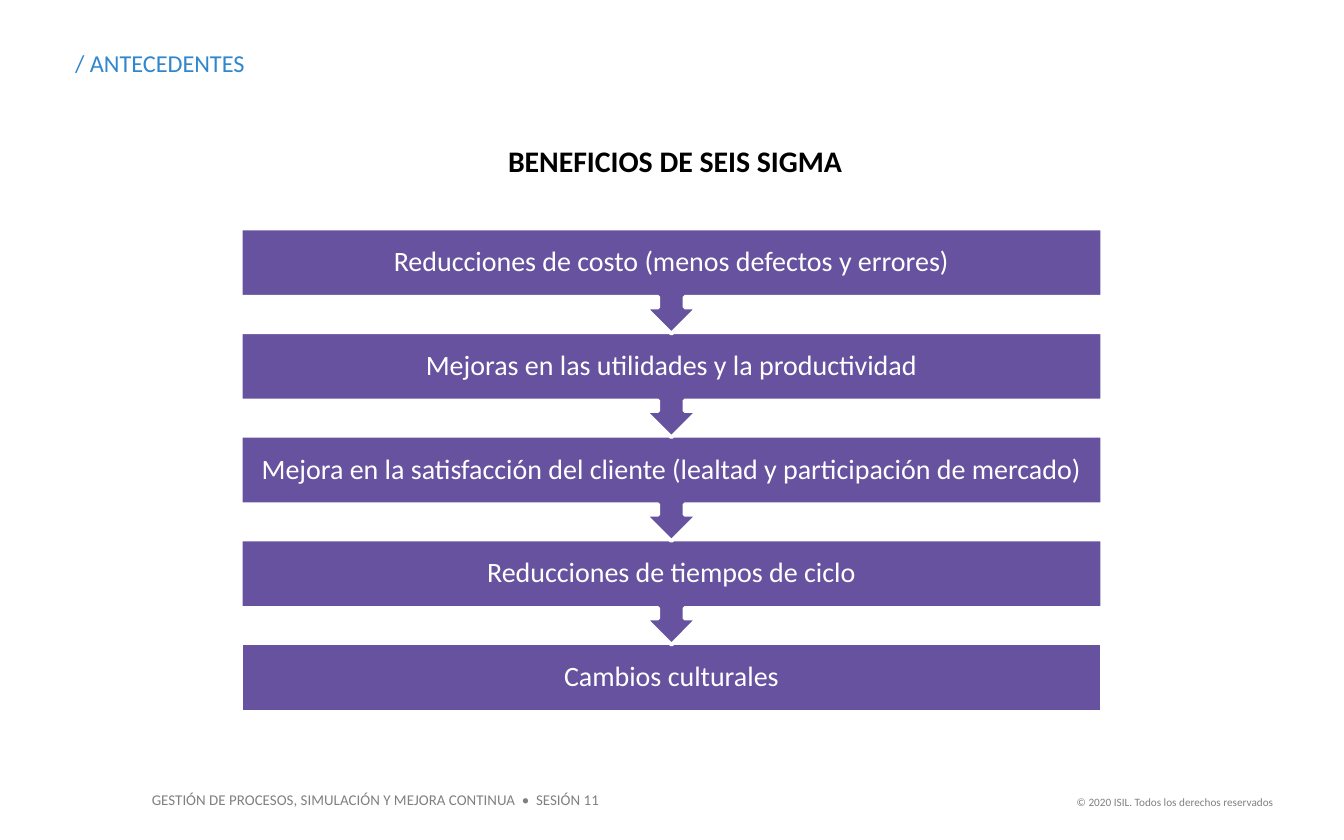
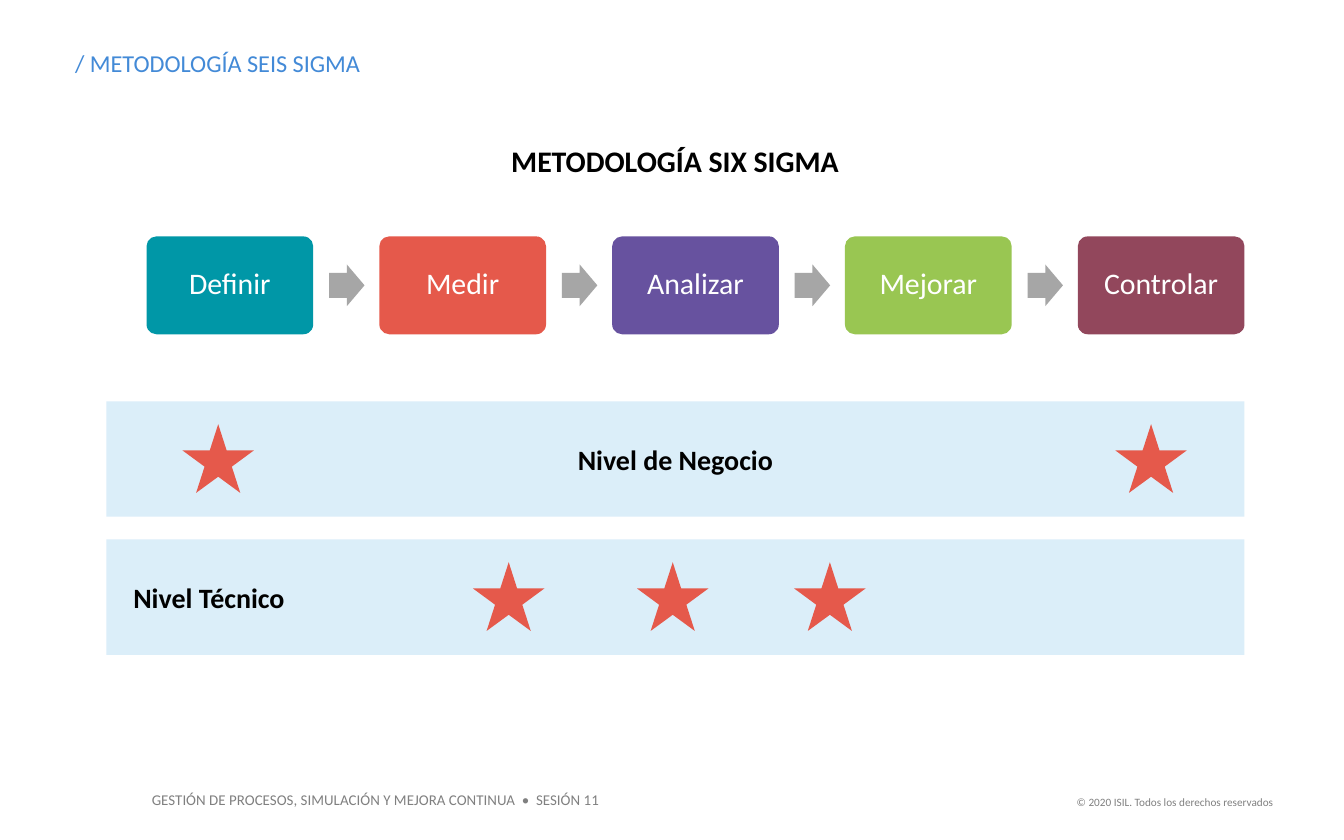
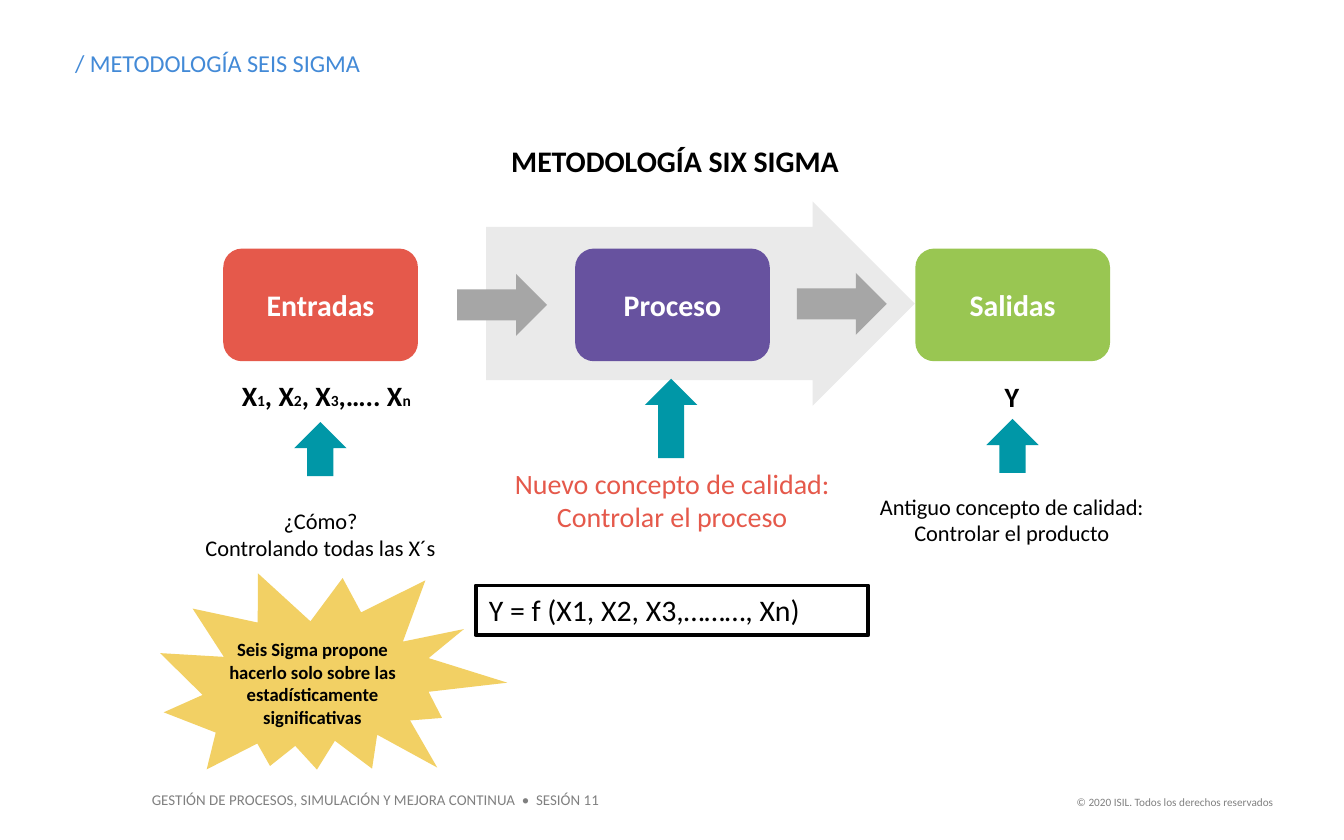
from pptx import Presentation
from pptx.dml.color import RGBColor
from pptx.enum.shapes import MSO_SHAPE
from pptx.enum.text import MSO_ANCHOR, MSO_AUTO_SIZE, PP_ALIGN
from pptx.util import Cm, Pt

# Shared look
FONT = "Calibri"
WHITE = RGBColor(0xFF, 0xFF, 0xFF)
BLACK = RGBColor(0x00, 0x00, 0x00)
GRAY = RGBColor(0x80, 0x80, 0x80)
SILVER = RGBColor(0xA6, 0xA6, 0xA6)
PALE = RGBColor(0xEA, 0xEA, 0xEA)
SKY = RGBColor(0xDB, 0xEE, 0xF9)
BLUE = RGBColor(0x30, 0x87, 0xCE)
AZURE = RGBColor(0x43, 0x8A, 0xD7)
TEAL = RGBColor(0x00, 0x97, 0xA7)
CORAL = RGBColor(0xE5, 0x59, 0x4B)
PURPLE = RGBColor(0x67, 0x52, 0x9F)
GREEN = RGBColor(0x99, 0xC6, 0x52)
WINE = RGBColor(0x92, 0x47, 0x5C)
GOLD = RGBColor(0xF2, 0xD0, 0x64)
LEFT, MID, RIGHT = PP_ALIGN.LEFT, PP_ALIGN.CENTER, PP_ALIGN.RIGHT

# Content; places are left, top, width, height in cm
COURSE = "GESTIÓN DE PROCESOS, SIMULACIÓN Y MEJORA CONTINUA  •  SESIÓN 11"
RIGHTS = "© 2020 ISIL. Todos los derechos reservados"
METHOD = ("/ METODOLOGÍA SEIS SIGMA", AZURE, "METODOLOGÍA SIX SIGMA")

BENEFITS = [
    "Reducciones de costo (menos defectos y errores)",
    "Mejoras en las utilidades y la productividad",
    "Mejora en la satisfacción del cliente (lealtad y participación de mercado)",
    "Reducciones de tiempos de ciclo",
    "Cambios culturales",
]

PHASES = [("Definir", TEAL), ("Medir", CORAL), ("Analizar", PURPLE),
          ("Mejorar", GREEN), ("Controlar", WINE)]

# Level name, alignment, left margin, left edges of its stars
LEVELS = [("Nivel de Negocio", MID, 0.25, [3.45, 21.08]),
          ("Nivel Técnico", LEFT, 0.51, [8.94, 12.04, 15.01])]

STAGES = [("Entradas", CORAL, 4.22), ("Proceso", PURPLE, 10.87),
          ("Salidas", GREEN, 17.3)]
FLOWS = [(8.64, 5.18), (15.06, 5.16)]
POINTERS = [(5.56, 7.98, 1.02), (12.19, 7.16, 1.5), (18.64, 7.92, 1.02)]
INPUTS = [("X", 15), ("1", 8.3), (", X", 15), ("2", 8.3), (", X", 15),
          ("3", 8.3), (",….. X", 15), ("n", 8.3)]
NOTES = [
    ((9.35, 8.69, 6.71, 1.55), 15, CORAL, False,
     ["Nuevo concepto de calidad:", "Controlar el proceso"]),
    ((18.54, 7.06, 1.17, 0.89), 15, BLACK, True, ["Y"]),
    ((3.43, 9.47, 5.26, 1.27), 12, BLACK, False,
     ["¿Cómo?", "Controlando todas las X´s"]),
    ((16.23, 9.19, 5.79, 1.27), 12, BLACK, False,
     ["Antiguo concepto de calidad:", "Controlar el producto"]),
    ((3.81, 11.94, 4.19, 1.96), 10, BLACK, True,
     ["Seis Sigma propone hacerlo solo sobre las estadísticamente "
      "significativas"]),
]
FORMULA = "Y = f (X1, X2, X3,………, Xn)"


# Helpers
def write(shape, lines, size, color, bold=False, align=MID,
          anchor=MSO_ANCHOR.TOP, pad=None, left=None, space=None):
    """Fill a shape; a line is a string or a list of (text, size) runs."""
    frame = shape.text_frame
    frame.word_wrap = True
    frame.auto_size = MSO_AUTO_SIZE.NONE
    frame.vertical_anchor = anchor
    if pad is not None:
        frame.margin_left = frame.margin_right = Cm(pad)
        frame.margin_top = frame.margin_bottom = Cm(pad)
    if left is not None:
        frame.margin_left = Cm(left)
    for i, line in enumerate(lines):
        para = frame.add_paragraph() if i else frame.paragraphs[0]
        para.alignment = align
        if space:
            para.line_spacing = space
        for text, points in [(line, size)] if isinstance(line, str) else line:
            run = para.add_run()
            run.text = text
            font = run.font
            font.name, font.size, font.bold = FONT, Pt(points), bold
            font.color.rgb = color


def label(slide, place, lines, size, color, **style):
    box = slide.shapes.add_textbox(*map(Cm, place))
    write(box, lines, size, color, **style)


def draw(slide, kind, place, fill, line=None, adjust=()):
    shape = slide.shapes.add_shape(kind, *map(Cm, place))
    shape.shadow.inherit = False
    shape.fill.solid()
    shape.fill.fore_color.rgb = fill
    if line is None:
        shape.line.fill.background()
    else:
        shape.line.color.rgb = line
        shape.line.width = Pt(2)
    for i, value in enumerate(adjust):
        shape.adjustments[i] = value
    return shape


def start(deck, topic, color, heading):
    """Add a slide with its title, heading and footers."""
    slide = deck.slides.add_slide(deck.slide_layouts[5])
    title = slide.shapes.title
    title.left, title.top, title.width, title.height = map(
        Cm, (1.42, 0.91, 6.2, 0.56))
    write(title, [topic], 13, color, align=LEFT, pad=0)
    label(slide, (1.42, 2.69, 22.68, 0.69), [heading], 16, BLACK,
          bold=True, pad=0)
    label(slide, (2.62, 14.83, 8.97, 0.61), [COURSE], 8, GRAY, align=LEFT)
    label(slide, (19.5, 14.91, 4.81, 0.51), [RIGHTS], 6, GRAY, align=RIGHT)
    return slide


# Slides
def benefits(deck):
    slide = start(deck, "/ ANTECEDENTES", BLUE, "BENEFICIOS DE SEIS SIGMA")
    last = len(BENEFITS) - 1
    # Bottom box first, so each arrow lies over the box below
    for i in range(last, -1, -1):
        kind, high = MSO_SHAPE.DOWN_ARROW_CALLOUT, 1.99
        if i == last:
            kind, high = MSO_SHAPE.RECTANGLE, 1.3
        box = draw(slide, kind, (4.55, 4.32 + 1.96 * i, 16.28, high),
                   PURPLE, WHITE)
        write(box, [BENEFITS[i]], 15, WHITE, anchor=MSO_ANCHOR.MIDDLE,
              pad=0.3, space=0.9)


def phases(deck):
    slide = start(deck, *METHOD)
    # Chain of phases
    for i, (name, color) in enumerate(PHASES):
        x = 2.77 + 4.4 * i
        box = draw(slide, MSO_SHAPE.ROUNDED_RECTANGLE, (x, 4.47, 3.15, 1.85),
                   color, adjust=[0.1])
        write(box, [name], 16, WHITE, anchor=MSO_ANCHOR.MIDDLE, pad=0.18,
              space=0.9)
        if i < len(PHASES) - 1:
            draw(slide, MSO_SHAPE.RIGHT_ARROW, (x + 3.45, 5, 0.67, 0.79),
                 SILVER, adjust=[0.6, 0.5])
    # Level bands with stars
    for i, (name, align, left, stars) in enumerate(LEVELS):
        y = 7.59 + 2.61 * i
        band = draw(slide, MSO_SHAPE.RECTANGLE, (2.01, y, 21.51, 2.18), SKY)
        write(band, [name], 15, BLACK, bold=True, align=align,
              anchor=MSO_ANCHOR.MIDDLE, left=left)
        for x in stars:
            draw(slide, MSO_SHAPE.STAR_5_POINT, (x, y + 0.43, 1.35, 1.3),
                 CORAL)


def process(deck):
    slide = start(deck, *METHOD)
    # Flow from inputs to outputs
    draw(slide, MSO_SHAPE.RIGHT_ARROW, (9.19, 3.81, 8.1, 3.86), PALE,
         adjust=[0.75, 0.5])
    for name, color, x in STAGES:
        box = draw(slide, MSO_SHAPE.ROUNDED_RECTANGLE, (x, 4.7, 3.68, 2.13),
                   color)
        write(box, [name], 16, WHITE, bold=True, anchor=MSO_ANCHOR.MIDDLE)
    for x, y in FLOWS:
        draw(slide, MSO_SHAPE.RIGHT_ARROW, (x, y, 1.7, 1.17), SILVER)
    for x, y, high in POINTERS:
        draw(slide, MSO_SHAPE.UP_ARROW, (x, y, 0.99, high), TEAL)
    # Formula, burst and notes
    box = draw(slide, MSO_SHAPE.RECTANGLE, (8.99, 11.07, 7.42, 0.94),
               WHITE, BLACK)
    write(box, [FORMULA], 16, BLACK, align=LEFT)
    burst = draw(slide, MSO_SHAPE.EXPLOSION2, (3.02, 10.54, 6.45, 4.6), GOLD)
    burst.rotation = 16.5
    label(slide, (4.32, 7.04, 4.5, 0.89), [INPUTS], 15, BLACK, bold=True,
          align=LEFT)
    for place, size, color, bold, lines in NOTES:
        label(slide, place, lines, size, color, bold=bold)


def main():
    deck = Presentation()
    deck.slide_width, deck.slide_height = Cm(25.4), Cm(15.88)
    for build in (benefits, phases, process):
        build(deck)
    deck.save("out.pptx")


if __name__ == "__main__":
    main()
